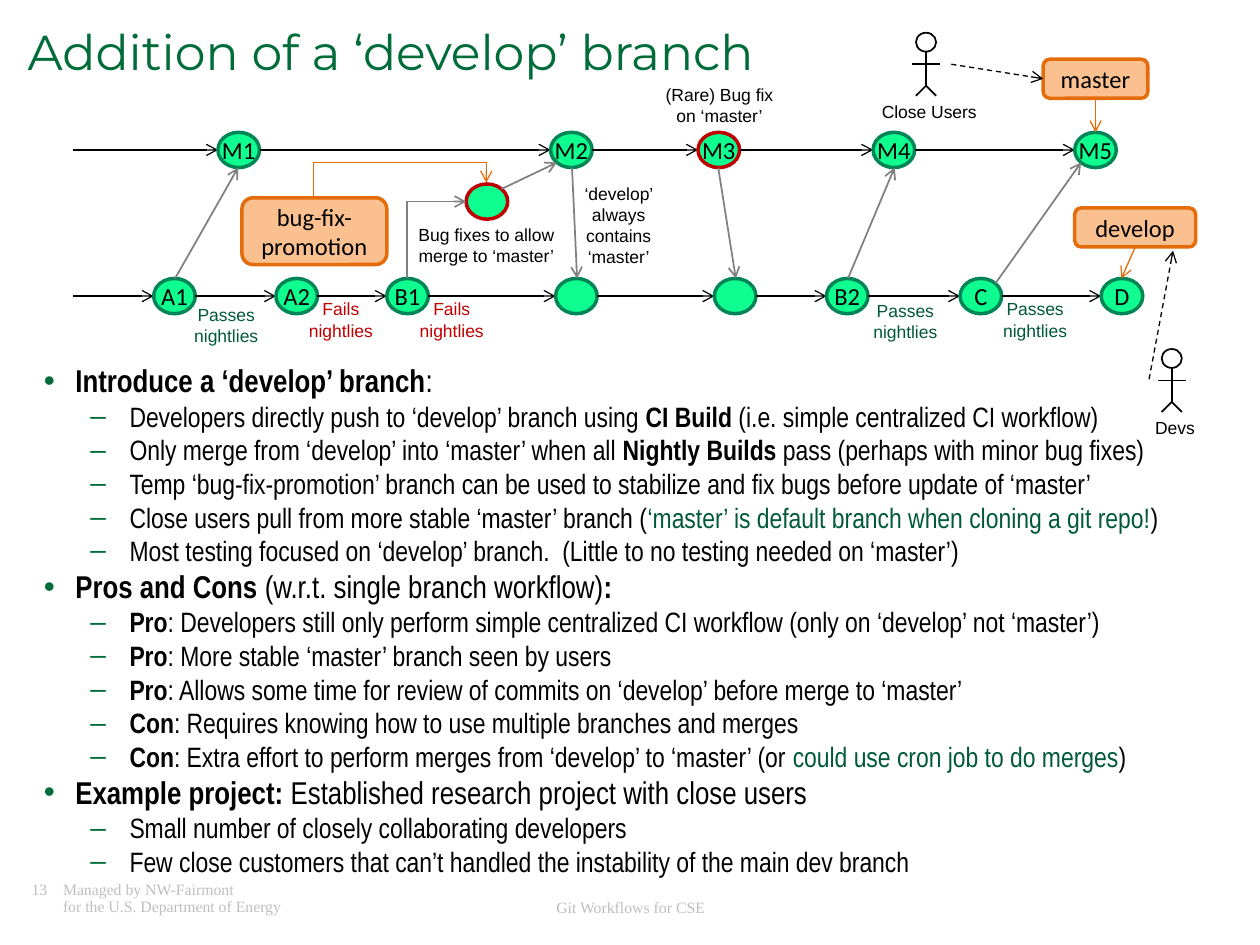
from lxml import etree
from pptx import Presentation
from pptx.dml.color import RGBColor
from pptx.enum.dml import MSO_LINE
from pptx.enum.shapes import MSO_CONNECTOR as CONN, MSO_SHAPE as SHAPE
from pptx.enum.text import MSO_ANCHOR, PP_ALIGN
from pptx.oxml.ns import qn
from pptx.util import Inches, Pt

COLORS = {"black": "000000", "green": "006C3A", "dark_green": "00593A", "red": "C00000",
          "node": "0EFF8F", "node_line": "008557", "tag": "FAC090", "orange": "E46C0A",
          "gray": "808080", "footer": "BFBFBF"}
NODE_W, NODE_H = 0.33, 0.28
MASTER_Y, DEVELOP_Y, LINE_START = 1.05, 2.21, 0.58
MASTER = [("M1", 1.73), ("M2", 4.37), ("M3", 5.54), ("M4", 6.93), ("M5", 8.53)]
DEVELOP = [("A1", 1.22), ("A2", 2.19), ("B1", 3.07), ("", 4.41), ("", 5.67),
           ("B2", 6.56), ("C", 7.62), ("D", 8.74)]
MERGES = [(1.39, 2.21, 1.89, 1.33), (6.73, 2.21, 7.1, 1.33), (7.9, 2.25, 8.58, 1.29),
          (3.98, 1.5, 4.42, 1.29), (4.54, 1.33, 4.58, 2.21), (5.7, 1.33, 5.84, 2.21)]
NOTES = [
    ("(Rare) Bug fix on ‘master’", (5.16, 0.62, 1.1, 0.44), "black"),
    ("Bug fixes to allow merge to ‘master’", (3.18, 1.73, 1.36, 0.44), "black"),
    ("‘develop’ always contains ‘master’", (4.36, 1.4, 1.1, 0.77), "black"),
    ("Passes nightlies", (1.39, 2.36, 0.81, 0.44), "dark_green"),
    ("Passes nightlies", (6.78, 2.33, 0.81, 0.44), "dark_green"),
    ("Passes nightlies", (7.81, 2.32, 0.81, 0.44), "dark_green"),
    ("Fails nightlies", (2.3, 2.32, 0.81, 0.44), "red"),
    ("Fails nightlies", (3.18, 2.32, 0.81, 0.44), "red"),
]
# *bold*, |green|
OUTLINE = [
    ("*Introduce a ‘develop’ branch*:", [
        "Developers directly push to ‘develop’ branch using *CI Build* (i.e. simple centralized CI workflow)",
        "Only merge from ‘develop’ into ‘master’ when all *Nightly Builds* pass (perhaps with minor bug fixes)",
        "Temp ‘bug-fix-promotion’ branch can be used to stabilize and fix bugs before update of ‘master’",
        "Close users pull from more stable ‘master’ branch (|‘master’ is default branch when cloning a git repo!|)",
        "Most testing focused on ‘develop’ branch.  (Little to no testing needed on ‘master’)"]),
    ("*Pros and Cons *(w.r.t. single branch workflow)*:*", [
        "*Pro*: Developers still only perform simple centralized CI workflow (only on ‘develop’ not ‘master’)",
        "*Pro*: More stable ‘master’ branch seen by users",
        "*Pro*: Allows some time for review of commits on ‘develop’ before merge to ‘master’",
        "*Con*: Requires knowing how to use multiple branches and merges",
        "*Con*: Extra effort to perform merges from ‘develop’ to ‘master’ (or |could use cron job to do merges|)"]),
    ("*Example project:* Established research project with close users", [
        "Small number of closely collaborating developers",
        "Few close customers that can’t handled the instability of the main dev branch"]),
]


def rgb(name):
    return RGBColor.from_string(COLORS[name])


def inches(*values):
    return [Inches(v) for v in values]


def write(p, text, size=10, font="Arial", color="black", bold=False):
    r = p.add_run()
    r.text = text
    r.font.size, r.font.name, r.font.bold = Pt(size), font, bold
    r.font.color.rgb = rgb(color)


def clear_margins(tf):
    tf.margin_left = tf.margin_right = tf.margin_top = tf.margin_bottom = 0


def add_text(shapes, text, box, align=PP_ALIGN.LEFT, spacing=None, margins=True, **fmt):
    tf = shapes.add_textbox(*inches(*box)).text_frame
    tf.word_wrap = True
    if not margins:
        clear_margins(tf)
    p = tf.paragraphs[0]
    p.alignment, p.line_spacing = align, spacing
    for i, line in enumerate(text.split("\n")):
        if i:
            p.add_line_break()
        write(p, line, **fmt)
    return p


def add_outlined(shapes, kind, box, line, width=2, fill=None, text="", wrap=True):
    sp = shapes.add_shape(kind, *inches(*box))
    sp.shadow.inherit = False
    if fill:
        sp.fill.solid()
        sp.fill.fore_color.rgb = rgb(fill)
    else:
        sp.fill.background()
    sp.line.color.rgb, sp.line.width = rgb(line), Pt(width)
    if text:
        tf = sp.text_frame
        tf.word_wrap, tf.vertical_anchor = wrap, MSO_ANCHOR.MIDDLE
        if not wrap:
            clear_margins(tf)
        tf.paragraphs[0].alignment = PP_ALIGN.CENTER
        write(tf.paragraphs[0], text, size=14, font="Calibri")
    return sp


def add_node(shapes, text, x, y, line="node_line"):
    return add_outlined(shapes, SHAPE.OVAL, (x, y, NODE_W, NODE_H), line,
                        fill="node", text=text, wrap=False)


def add_tag(shapes, text, box):
    return add_outlined(shapes, SHAPE.ROUNDED_RECTANGLE, box, "orange", fill="tag", text=text)


def add_line(shapes, ends, color="black", width=0.75, arrow=True, dash=False, kind=CONN.STRAIGHT):
    c = shapes.add_connector(kind, *inches(*ends))
    c.line.color.rgb, c.line.width = rgb(color), Pt(width)
    if dash:
        c.line.dash_style = MSO_LINE.DASH
    if arrow:
        etree.SubElement(c.line._get_or_add_ln(), qn("a:tailEnd"), type="arrow")
    etree.SubElement(c._element.spPr, qn("a:effectLst"))
    return c


def add_elbow(shapes, box, preset, adjust=None, **fmt):
    """Elbow that is flipped both ways and turned a quarter, so it leaves upwards."""
    x, y, w, h = box
    c = add_line(shapes, (x + w, y + h, x, y), kind=CONN.ELBOW, **fmt)
    c._element.spPr.find(qn("a:xfrm")).set("rot", "5400000")
    geom = c._element.spPr.find(qn("a:prstGeom"))
    geom.set("prst", preset)
    if adjust:
        etree.SubElement(geom.find(qn("a:avLst")), qn("a:gd"),
                         name="adj1", fmla=f"val {round(adjust * 100000)}")


def add_person(shapes, label, x, y):
    g = shapes.add_group_shape().shapes
    add_text(g, label, (x - 0.84, y + 0.49, 1.73, 0.27), align=PP_ALIGN.CENTER)
    add_outlined(g, SHAPE.OVAL, (x - 0.08, y, 0.16, 0.15), "black", width=1)
    hip = y + 0.42
    for ends in [(x, y + 0.15, x, hip), (x - 0.11, y + 0.25, x + 0.11, y + 0.25),
                 (x, hip, x - 0.08, hip + 0.08), (x, hip, x + 0.08, hip + 0.08)]:
        add_line(g, ends, width=1, arrow=False)


def add_branch(shapes, commits, y):
    """Row of commits, each reached by an arrow from the one before it."""
    start, nodes = LINE_START, []
    for name, x in commits:
        add_line(shapes, (start, y + NODE_H / 2, x, y + NODE_H / 2))
        nodes.append(add_node(shapes, name, x, y, "red" if name == "M3" else "node_line"))
        start = x + NODE_W
    return nodes


def add_bullet(tf, text, level):
    p = tf.add_paragraph() if tf.paragraphs[0].runs else tf.paragraphs[0]
    p.level = level
    left, hang, char, size = [(0.25, 0.25, "•", 18), (0.68, 0.31, "–", 16)][level]
    pPr = p._p.get_or_add_pPr()
    pPr.set("marL", str(Inches(left)))
    pPr.set("indent", str(-Inches(hang)))
    clr = etree.SubElement(pPr, qn("a:buClr"))
    etree.SubElement(clr, qn("a:srgbClr"), val=COLORS["green"])
    etree.SubElement(pPr, qn("a:buFont"), typeface="Arial")
    etree.SubElement(pPr, qn("a:buChar"), char=char)
    for i, part in enumerate(text.split("*")):
        for j, piece in enumerate(part.split("|")):
            if piece:
                write(p, piece, size=size, font="Arial Narrow", bold=i % 2 == 1,
                      color="dark_green" if j % 2 else "black")


def add_outline(shapes):
    tf = shapes.add_textbox(*inches(0.25, 2.82, 9.54, 4.24)).text_frame
    tf.word_wrap = True
    for heading, points in OUTLINE:
        add_bullet(tf, heading, 0)
        for point in points:
            add_bullet(tf, point, 1)


def add_footer(shapes):
    fmt = dict(size=9, font="Times New Roman", color="footer")
    p = add_text(shapes, "13\tManaged by NW-Fairmont\n\tfor the U.S. Department of Energy",
                 (0.25, 7, 3.08, 0.33), spacing=0.9, margins=False, **fmt)
    tabs = etree.SubElement(p._p.get_or_add_pPr(), qn("a:tabLst"))
    etree.SubElement(tabs, qn("a:tab"), pos=str(Inches(0.25)), algn="l")
    add_text(shapes, "Git Workflows for CSE", (3.42, 7.08, 3.17, 0.2), align=PP_ALIGN.CENTER, **fmt)


def add_diagram(shapes):
    for text, box, color in NOTES:
        add_text(shapes, text, box, align=PP_ALIGN.CENTER, color=color)
    m5 = add_branch(shapes, MASTER, MASTER_Y)[-1]
    add_branch(shapes, DEVELOP, DEVELOP_Y)
    add_node(shapes, "", 3.7, 1.46, "red")
    for ends in MERGES:
        add_line(shapes, ends, color="gray", width=1)
    add_elbow(shapes, (3.16, 1.67, 0.61, 0.47), "bentConnector2", color="gray", width=1)

    master = add_tag(shapes, "master", (8.28, 0.47, 0.83, 0.31))
    develop = add_tag(shapes, "develop", (8.53, 1.65, 0.96, 0.31))
    add_tag(shapes, "bug-fix-promotion", (1.92, 1.57, 1.15, 0.53))
    add_elbow(shapes, (3.12, 0.82, 0.11, 1.37), "bentConnector3", 2.47, color="orange")
    to_m5 = add_line(shapes, (8.7, 0.78, 8.7, 1.05), color="orange")
    to_m5.begin_connect(master, 2)
    to_m5.end_connect(m5, 0)
    add_line(shapes, (9.01, 1.96, 8.9, 2.21), color="orange").begin_connect(develop, 2)

    add_person(shapes, "Close Users", 7.35, 0.26)
    add_person(shapes, "Devs", 9.3, 2.77)
    add_line(shapes, (7.55, 0.51, 8.28, 0.63), dash=True).end_connect(master, 1)
    add_line(shapes, (9.12, 3.01, 9.31, 1.99), dash=True)


def main():
    prs = Presentation()
    prs.slide_width, prs.slide_height = inches(10, 7.5)
    shapes = prs.slides.add_slide(prs.slide_layouts[6]).shapes
    add_footer(shapes)
    add_text(shapes, "Addition of a ‘develop’ branch", (0.12, 0.19, 9.55, 0.5),
             spacing=0.85, size=28, font="Montserrat", color="green")
    add_outline(shapes)
    add_diagram(shapes)
    prs.save("out.pptx")


if __name__ == "__main__":
    main()
